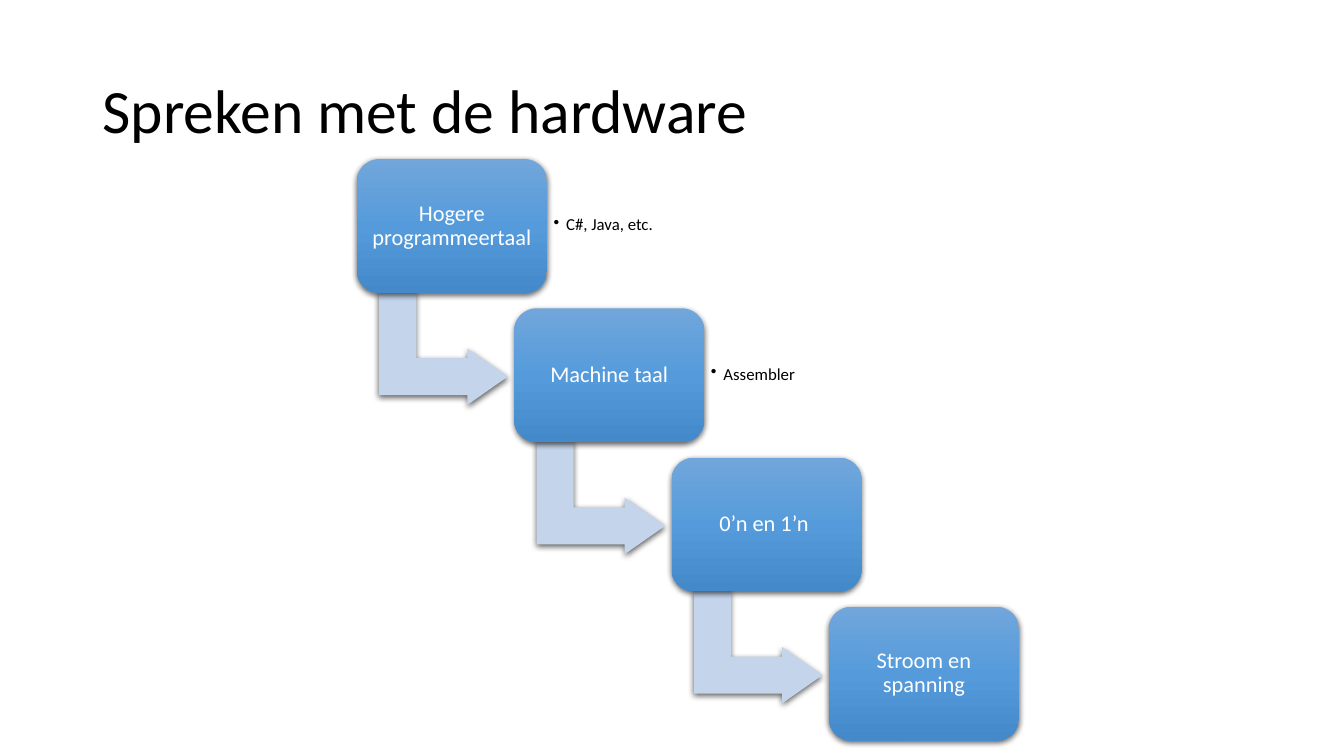
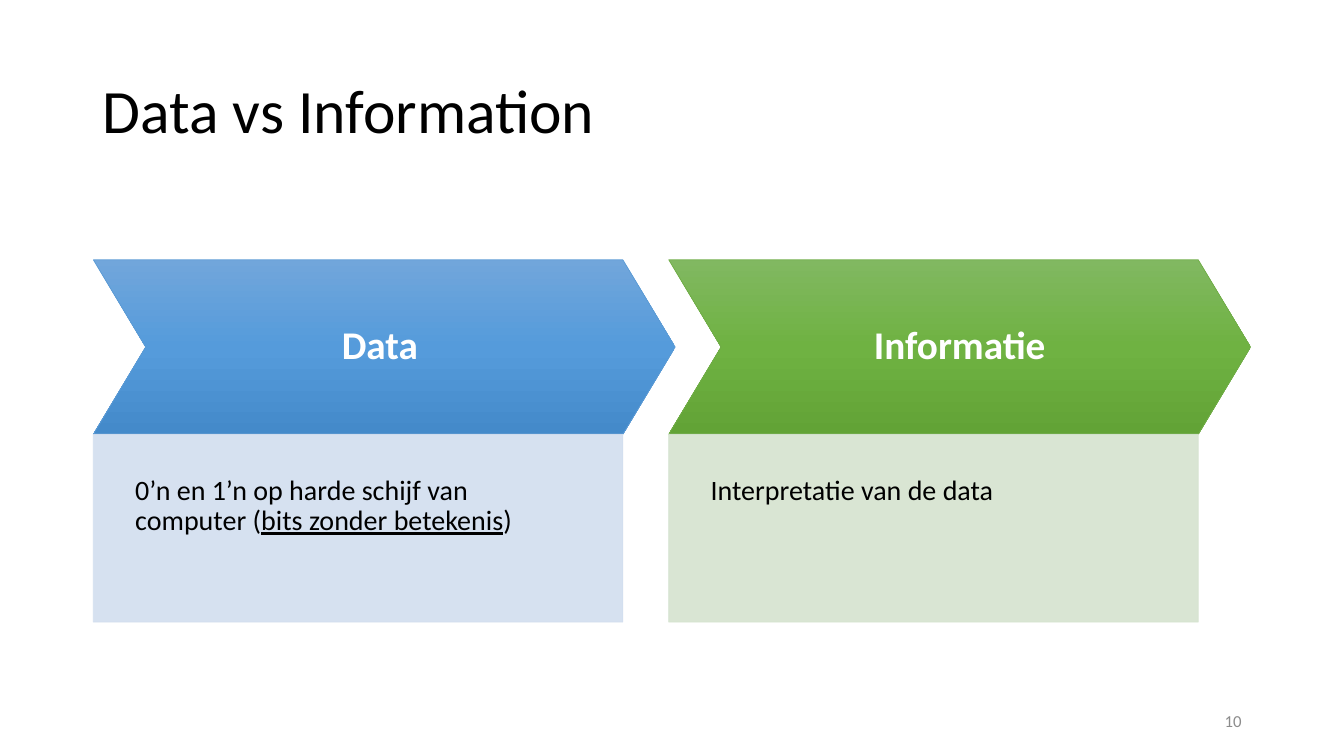
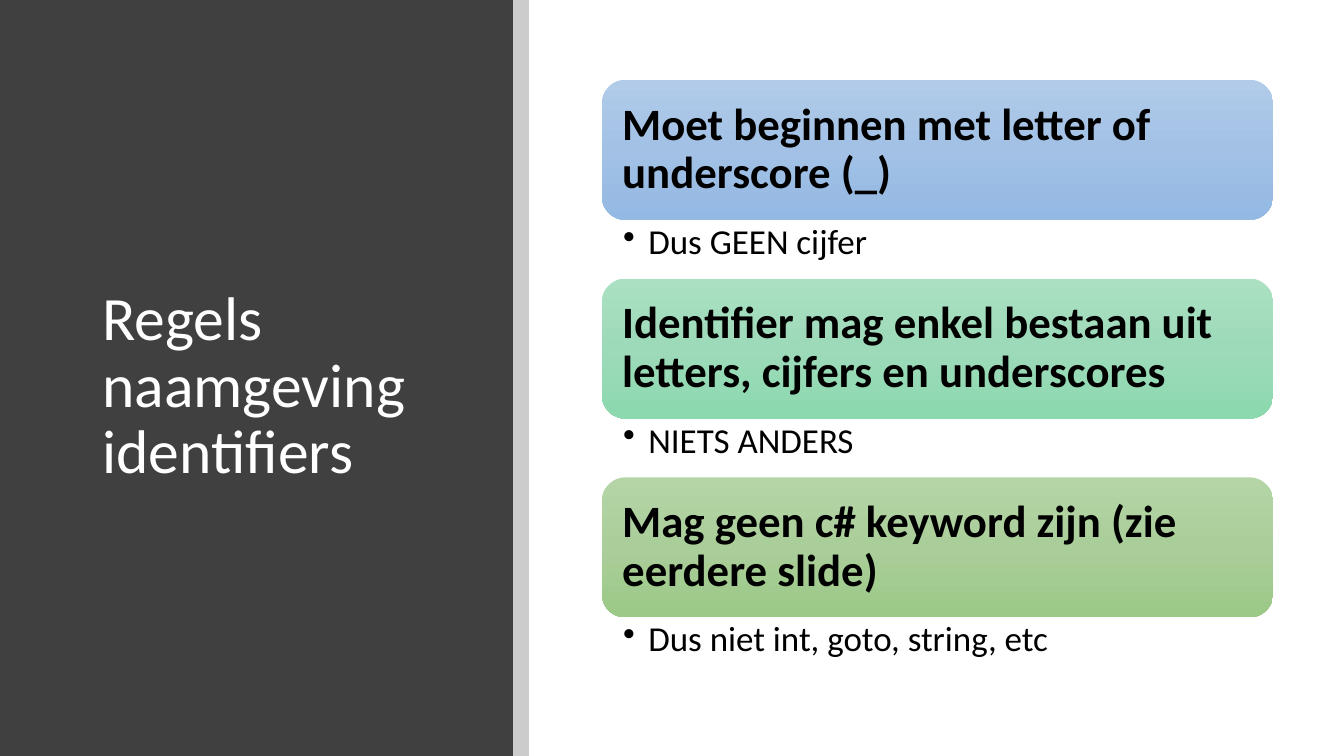
"""Build three Dutch lesson slides about hardware, data and identifiers."""
import copy

import lxml.etree
import pptx
import pptx.dml.color
import pptx.enum.shapes
import pptx.enum.text
import pptx.oxml.ns
import pptx.util

Pt = pptx.util.Pt
RGB = pptx.dml.color.RGBColor.from_string
SHAPE = pptx.enum.shapes.MSO_SHAPE
ALIGN = pptx.enum.text.PP_ALIGN
ANCHOR = pptx.enum.text.MSO_ANCHOR
qn = pptx.oxml.ns.qn

COLORS = {
    "black": "000000", "white": "FFFFFF", "number": "8C8C8C", "panel": "404040",
    "arrow": "C4D5EB", "blue_edge": "5B9BD5", "green_edge": "70AD47",
    "blue_tint": "D2DEEF", "green_tint": "D5E3CF",
}
GRADIENTS = {
    "blue": ["71A6DB", "559BDB", "448ACA"],
    "green": ["81B861", "6FB242", "62A336"],
    "light_blue": ["B1CBE9", "A3C1E5", "93B9E4"],
    "light_mint": ["ABE0C3", "9DDAB9", "8CD8AF"],
    "light_green": ["B5D5A7", "AACE9A", "9CC987"],
}
FONT = "Calibri"
TITLE_FRAME = (66, 28.75, 828, 104.4)
SIDE_TITLE_FRAME = (66, 64, 263, 425.5)

LEVELS = [
    ("Hogere programmeertaal", "C#, Java, etc."),
    ("Machine taal", "Assembler"),
    ("0’n en 1’n ", None),
    ("Stroom en spanning", None),
]
CONCEPTS = [
    ("Data ", "blue", "blue_edge", "blue_tint",
     [("0’n en 1’n op harde schijf van computer (", False),
      ("bits zonder betekenis", True), (")", False)]),
    ("Informatie", "green", "green_edge", "green_tint",
     [("Interpretatie van de data", False)]),
]
RULES = [
    ("Moet beginnen met letter of underscore (_)", "light_blue", "Dus GEEN cijfer"),
    ("Identifier mag enkel bestaan uit letters, cijfers en underscores",
     "light_mint", "NIETS ANDERS"),
    ("Mag geen c# keyword zijn (zie eerdere slide)", "light_green",
     "Dus niet int, goto, string, etc"),
]


def write(box, spans, size, color="black", bold=False, align=ALIGN.LEFT,
          anchor=ANCHOR.MIDDLE, insets=(7.2, 3.6, 7.2, 3.6), hang=0, spacing=0.9):
    """Fill the text frame of a box with one formatted paragraph."""
    frame = box.text_frame
    left, top, right, bottom = (Pt(inset) for inset in insets)
    settings = {
        "word_wrap": True, "auto_size": pptx.enum.text.MSO_AUTO_SIZE.NONE,
        "vertical_anchor": anchor, "margin_left": left, "margin_top": top,
        "margin_right": right, "margin_bottom": bottom,
    }
    for name, value in settings.items():
        setattr(frame, name, value)
    para = frame.paragraphs[0]
    para.alignment, para.line_spacing = align, spacing
    if hang:
        properties = para._p.get_or_add_pPr()
        properties.set("marL", str(Pt(hang)))
        properties.set("indent", str(-Pt(hang)))
        lxml.etree.SubElement(properties, qn("a:buChar"), char="•")
    for text, underline in [(spans, False)] if isinstance(spans, str) else spans:
        span = para.add_run()
        span.text = text
        formats = {"name": FONT, "size": Pt(size), "bold": bold}
        if underline:
            formats["underline"] = True
        for name, value in formats.items():
            setattr(span.font, name, value)
        span.font.color.rgb = RGB(COLORS[color])


def add_text(page, frame, spans, size, **formats):
    """Add a text box."""
    box = page.shapes.add_textbox(*(Pt(length) for length in frame))
    write(box, spans, size, **formats)


def add_block(page, kind, frame, fill, edge=None, opacity=100, adjust=(), shadow=False):
    """Add a preset shape with a plain or gradient fill."""
    block = page.shapes.add_shape(kind, *(Pt(length) for length in frame))
    for index, value in enumerate(adjust):
        block.adjustments[index] = value
    properties = block.element.spPr
    if fill in GRADIENTS:
        block.fill.gradient()
        block.fill.gradient_angle = 270
        stops = properties.find(".//" + qn("a:gsLst"))
        stops.append(copy.deepcopy(stops[-1]))
        for index, stop in enumerate(block.fill.gradient_stops):
            stop.position = index / 2
            stop.color.rgb = RGB(GRADIENTS[fill][index])
    else:
        block.fill.solid()
        block.fill.fore_color.rgb = RGB(COLORS[fill])
    if edge:
        block.line.color.rgb = RGB(COLORS[edge])
        block.line.width = Pt(0.5)
    else:
        block.line.fill.background()
    if opacity < 100:
        for color in properties.iter(qn("a:srgbClr")):
            lxml.etree.SubElement(color, qn("a:alpha"), val=str(opacity * 1000))
    block.shadow.inherit = False
    if shadow:
        outer = lxml.etree.SubElement(
            properties.find(qn("a:effectLst")), qn("a:outerShdw"), blurRad=str(Pt(4.5)),
            dist=str(Pt(1.5)), dir="5400000", algn="ctr", rotWithShape="0")
        color = lxml.etree.SubElement(outer, qn("a:srgbClr"), val=COLORS["black"])
        lxml.etree.SubElement(color, qn("a:alpha"), val="63000")
    return block


def add_page(deck, title, frame=TITLE_FRAME, color="black"):
    """Add a title-only slide in the shared title style."""
    page = deck.slides.add_slide(deck.slide_layouts[5])
    heading = page.shapes.title
    for name, length in zip(("left", "top", "width", "height"), frame):
        setattr(heading, name, Pt(length))
    write(heading, title, 44, color=color)
    return page


def build_levels(deck):
    """Draw the staircase from programming language to voltage."""
    page = add_page(deck, "Spreken met de hardware")
    width, height = 135.6, 95.6
    for index, (label, example) in enumerate(LEVELS):
        left, top = 255 + index * 112.4, 113.6 + index * 106.6
        if index < len(LEVELS) - 1:
            arrow = add_block(page, SHAPE.BENT_UP_ARROW, (left + 21.4, top + 89.4, 80.8, 91.8),
                              "arrow", adjust=(0.328, 0.25, 0.358), shadow=True)
            arrow.rotation = 90
        step = add_block(page, SHAPE.ROUNDED_RECTANGLE, (left, top, width, height), "blue",
                         adjust=(0.167,), shadow=True)
        write(step, label, 16, color="white", align=ALIGN.CENTER, insets=(4.8,) * 4)
        if example:
            add_text(page, (left + width, top + 9, 98.6, 77), example, 12,
                     insets=(4.8,) * 4, hang=9)


def build_concepts(deck):
    """Draw the two chevrons with their explanations."""
    page = add_page(deck, "Data vs Information")
    add_text(page, (678, 500.5, 216, 28.75), "10", 12, color="number",
             align=ALIGN.RIGHT, spacing=1)
    for index, (name, fill, edge, tint, explanation) in enumerate(CONCEPTS):
        left = 66.7 + index * 411
        chevron = add_block(page, SHAPE.CHEVRON, (left, 185.6, 415.6, 124.6), fill,
                            edge=edge, adjust=(0.3,))
        write(chevron, name, 28, color="white", bold=True, align=ALIGN.CENTER,
              insets=(15,) * 4)
        body = add_block(page, SHAPE.RECTANGLE, (left, 310.2, 378.2, 134.2), tint,
                         edge=tint, opacity=90)
        write(body, explanation, 20, anchor=ANCHOR.TOP, insets=(29.9, 29.9, 29.9, 59.8))


def build_rules(deck):
    """Draw the dark title panel and the naming rules."""
    page = add_page(deck, "Regels naamgeving identifiers", SIDE_TITLE_FRAME, "white")
    panel_width = 366.4
    panel = add_block(page, SHAPE.RECTANGLE, (0, 0, panel_width, 540), "panel")
    page.shapes.title.element.addprevious(panel.element)
    add_block(page, SHAPE.RECTANGLE, (panel_width, 0, 11.5, 540), "black", opacity=20)
    left, width, height = 430, 479.4, 100
    for index, (rule, fill, note) in enumerate(RULES):
        top = 57 + index * 142
        card = add_block(page, SHAPE.ROUNDED_RECTANGLE, (left, top, width, height), fill,
                         adjust=(0.167,))
        write(card, rule, 32, bold=True, insets=(9.6,) * 4)
        add_text(page, (left, top + height, width, 42), note, 25, anchor=ANCHOR.TOP,
                 insets=(15.2, 3, 18, 3), hang=18)


def main():
    """Build and save the deck."""
    deck = pptx.Presentation()
    deck.slide_width, deck.slide_height = Pt(960), Pt(540)
    for build in (build_levels, build_concepts, build_rules):
        build(deck)
    deck.save("out.pptx")


if __name__ == "__main__":
    main()
